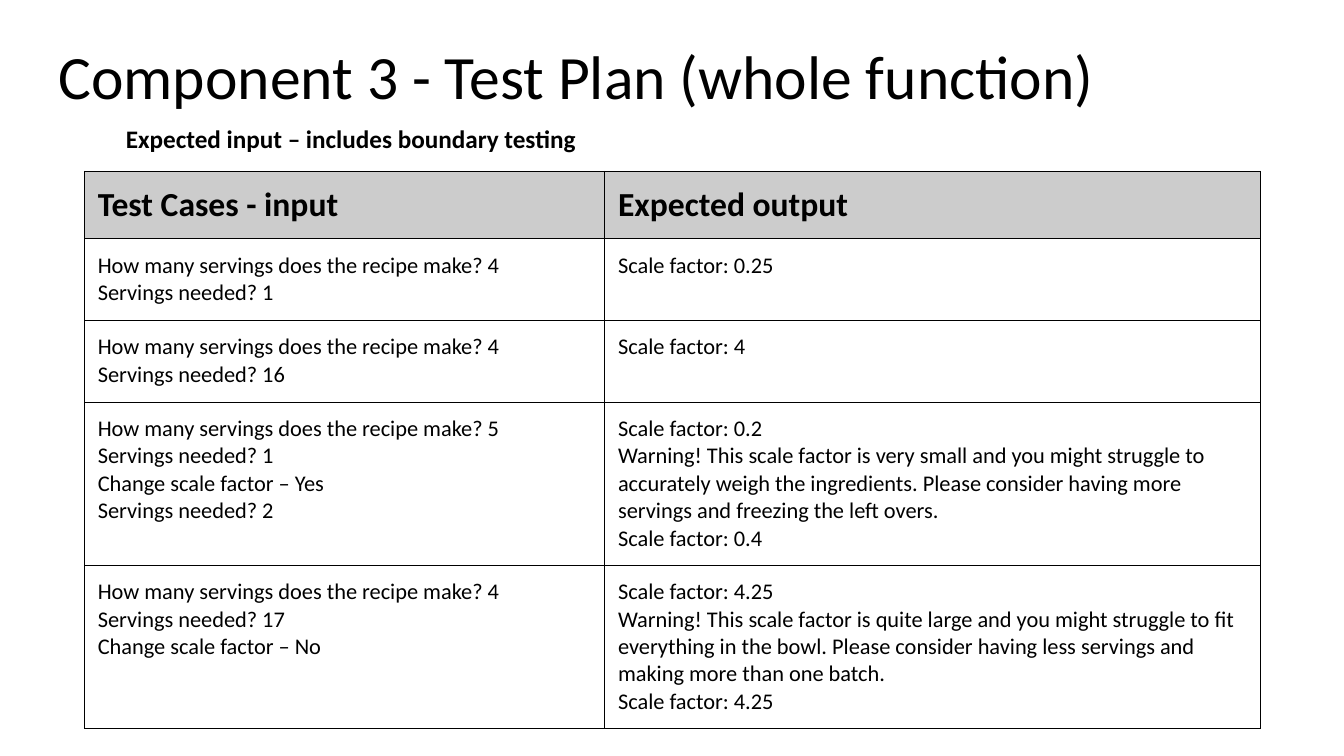
from dataclasses import dataclass

from lxml.etree import SubElement
from pptx import Presentation
from pptx.dml.color import RGBColor
from pptx.enum.text import MSO_ANCHOR, MSO_AUTO_SIZE, PP_ALIGN
from pptx.oxml.ns import qn
from pptx.util import Inches, Pt


@dataclass(frozen=True)
class Theme:
    font: str = "Calibri"
    ink: str = "000000"
    header_fill: str = "CCCCCC"
    title: int = 44
    header: int = 24
    subtitle: int = 18
    body: int = 16
    border: float = 0.75
    inset: float = 0.13


THEME = Theme()
SERVINGS = "How many servings does the recipe make? "
NEEDED = "Servings needed? "
CHANGE = "Change scale factor – "
SCALE = "Scale factor: "
SMALL = ("Warning! This scale factor is very small and you might struggle to "
         "accurately weigh the ingredients. Please consider having more "
         "servings and freezing the left overs.")
LARGE = ("Warning! This scale factor is quite large and you might struggle to "
         "fit everything in the bowl. Please consider having less servings and "
         "making more than one batch.")
HEADERS = ("Test Cases - input", "Expected output")
TEST_CASES = [
    ([SERVINGS + "4", NEEDED + "1"], [SCALE + "0.25"]),
    ([SERVINGS + "4", NEEDED + "16"], [SCALE + "4"]),
    ([SERVINGS + "5", NEEDED + "1", CHANGE + "Yes", NEEDED + "2"],
     [SCALE + "0.2", SMALL, SCALE + "0.4"]),
    ([SERVINGS + "4", NEEDED + "17", CHANGE + "No"],
     [SCALE + "4.25", LARGE, SCALE + "4.25"]),
]
COL_WIDTHS = (5.16, 6.5)
ROW_HEIGHTS = (0.67, 0.81, 0.81, 1.62, 1.62)


def write_text(tf, lines, size, bold=False, spacing=None):
    for i, line in enumerate(lines):
        p = tf.paragraphs[0] if i == 0 else tf.add_paragraph()
        p.alignment = PP_ALIGN.LEFT
        if spacing:
            p.line_spacing = spacing
        r = p.add_run()
        r.text = line
        r.font.name = THEME.font
        r.font.size = Pt(size)
        r.font.bold = bold
        r.font.color.rgb = RGBColor.from_string(THEME.ink)


def set_insets(box):
    box.margin_left = box.margin_right = Inches(THEME.inset)
    box.margin_top = box.margin_bottom = Inches(THEME.inset)


def add_title(slide, text, left, top, width, height):
    sp = slide.shapes.title
    sp.left, sp.top = Inches(left), Inches(top)
    sp.width, sp.height = Inches(width), Inches(height)
    tf = sp.text_frame
    tf.word_wrap = True
    tf.auto_size = MSO_AUTO_SIZE.NONE
    tf.vertical_anchor = MSO_ANCHOR.TOP
    set_insets(tf)
    write_text(tf, [text], THEME.title, spacing=0.9)


def add_subtitle(slide, text, left, top, width, height):
    sp = slide.shapes.add_textbox(Inches(left), Inches(top),
                                  Inches(width), Inches(height))
    tf = sp.text_frame
    tf.word_wrap = True
    tf.auto_size = MSO_AUTO_SIZE.SHAPE_TO_FIT_TEXT
    write_text(tf, [text], THEME.subtitle, bold=True)


def add_borders(cell):
    tcPr = cell._tc.get_or_add_tcPr()
    for i, side in enumerate(("lnL", "lnR", "lnT", "lnB")):
        ln = SubElement(tcPr, qn("a:" + side), w=str(Pt(THEME.border)))
        fill = SubElement(ln, qn("a:solidFill"))
        SubElement(fill, qn("a:srgbClr"), val=THEME.ink)
        tcPr.insert(i, ln)


def format_cell(cell, lines, is_header):
    set_insets(cell)
    cell.vertical_anchor = MSO_ANCHOR.TOP
    if is_header:
        cell.fill.solid()
        cell.fill.fore_color.rgb = RGBColor.from_string(THEME.header_fill)
    else:
        cell.fill.background()
    add_borders(cell)
    size = THEME.header if is_header else THEME.body
    write_text(cell.text_frame, lines, size, bold=is_header)


def add_test_table(slide, left, top):
    rows = [[[header] for header in HEADERS], *TEST_CASES]
    table = slide.shapes.add_table(
        len(rows), len(HEADERS), Inches(left), Inches(top),
        Inches(sum(COL_WIDTHS)), Inches(sum(ROW_HEIGHTS))).table
    table.horz_banding = False
    for col, width in zip(table.columns, COL_WIDTHS):
        col.width = Inches(width)
    for i, (row, height) in enumerate(zip(table.rows, ROW_HEIGHTS)):
        row.height = Inches(height)
        for cell, lines in zip(row.cells, rows[i]):
            format_cell(cell, lines, i == 0)


def build_test_plan(prs):
    slide = prs.slides.add_slide(prs.slide_layouts.get_by_name("Title Only"))
    add_title(slide, "Component 3 - Test Plan (whole function)",
              0.45, 0.33, 12.42, 0.84)
    add_test_table(slide, 0.84, 1.7)
    add_subtitle(slide, "Expected input – includes boundary testing",
                 1.15, 1.17, 11.04, 0.4)


prs = Presentation()
prs.slide_width, prs.slide_height = Inches(13.33), Inches(7.5)
build_test_plan(prs)
prs.save("out.pptx")
